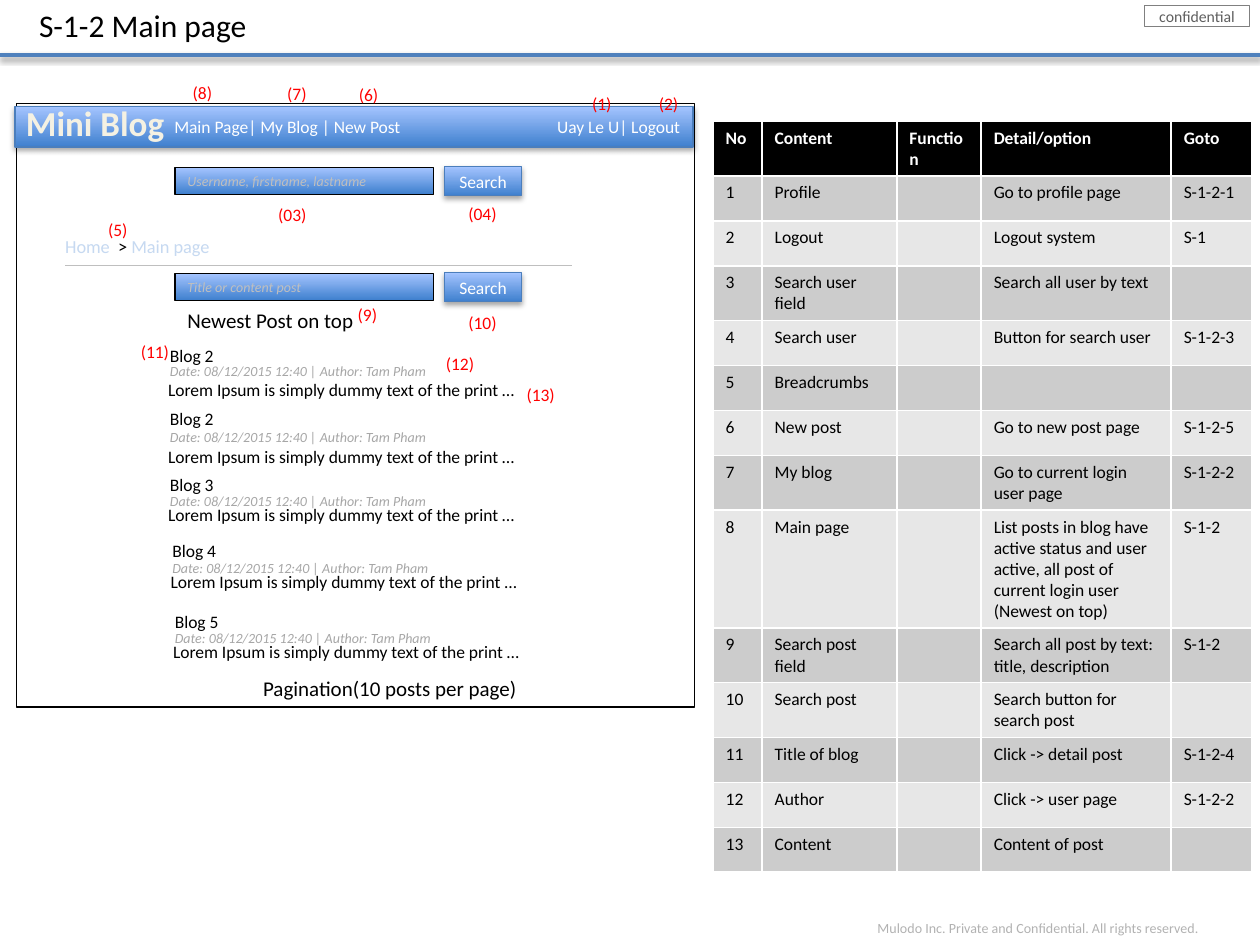
from lxml.etree import SubElement as Sub
from pptx import Presentation
from pptx.dml.color import RGBColor as Rgb
from pptx.enum.shapes import MSO_CONNECTOR as Link, MSO_SHAPE as Form
from pptx.enum.text import MSO_ANCHOR as Anchor, MSO_AUTO_SIZE as Auto, PP_ALIGN as Align
from pptx.oxml.ns import qn
from pptx.util import Pt

BLACK = Rgb(0, 0, 0)
WHITE = Rgb(255, 255, 255)
RED = Rgb(255, 0, 0)
CREAM = Rgb(0xF4, 0xF1, 0xE3)
PALE = Rgb(0xC6, 0xD9, 0xF1)
RULE = Rgb(0x4F, 0x81, 0xBD)
EDGE = Rgb(0x4B, 0x7E, 0xBC)
DEEP = Rgb(0x3F, 0x80, 0xCE)
LIGHT = Rgb(0xA4, 0xC4, 0xFF)
HINT = Rgb(0xBF, 0xBF, 0xBF)
DATE = Rgb(0xA6, 0xA6, 0xA6)
FOOT = Rgb(0xB2, 0xB2, 0xB2)
STAMP = Rgb(0x5F, 0x5F, 0x5F)
FRAME = Rgb(0x80, 0x80, 0x80)
ODD = Rgb(0xCC, 0xCC, 0xCC)
EVEN = Rgb(0xE7, 0xE7, 0xE7)

COLS = [28, 77, 48.2, 108.6, 46]
ROWS = [
    ("No", "Content", "Function", "Detail/option", "Goto"),
    ("1", "Profile", "", "Go to profile page", "S-1-2-1"),
    ("2", "Logout", "", "Logout system", "S-1"),
    ("3", "Search user field", "", "Search all user by text", ""),
    ("4", "Search user", "", "Button for search user", "S-1-2-3"),
    ("5", "Breadcrumbs", "", "", ""),
    ("6", "New post", "", "Go to new post page", "S-1-2-5"),
    ("7", "My blog", "", "Go to current login user page", "S-1-2-2"),
    ("8", "Main page", "", "List posts in blog have active status and user active, "
     "all post of current login user (Newest on top)", "S-1-2"),
    ("9", "Search post field", "", "Search all post by text:\ntitle, description", "S-1-2"),
    ("10", "Search post", "", "Search button for search post", ""),
    ("11", "Title of blog", "", "Click -> detail post", "S-1-2-4"),
    ("12", "Author", "", "Click -> user page", "S-1-2-2"),
    ("13", "Content", "", "Content of post", ""),
]
POSTS = [
    ("Blog 2", 90, 193.7, 203.8, 213.1),
    ("Blog 2", 90, 229.7, 241.2, 251.3),
    ("Blog 3", 90, 267.1, 277.9, 284.4),
    ("Blog 4", 91.4, 305.3, 316.1, 322.6),
    ("Blog 5", 92.8, 345.6, 356.4, 362.9),
]
MARKS = [
    ("(1)", 331.2, 49.7), ("(2)", 369.4, 49.7), ("(03)", 151.9, 113),
    ("(04)", 260.6, 112.3), ("(5)", 54.7, 121.7), ("(6)", 198, 44.6),
    ("(7)", 157, 43.9), ("(8)", 103, 43.2), ("(9)", 197.3, 169.9),
    ("(10)", 260.6, 175), ("(11)", 73.4, 191.5), ("(12)", 247.7, 198),
    ("(13)", 293.8, 216),
]


class Page:
    face = "Calibri"

    def __init__(self, slide):
        self.slide = slide
        self.shapes = slide.shapes

    def style(self, para, size, color, align=Align.LEFT, bold=False, slant=False):
        para.alignment = align
        font = para.font
        font.name, font.size = self.face, Pt(size)
        font.bold, font.italic = bold, slant
        font.color.rgb = color

    def place(self, shape, x, y, w, h):
        shape.left, shape.top, shape.width, shape.height = Pt(x), Pt(y), Pt(w), Pt(h)

    def title(self, text, x, y, w, h, size):
        shape = self.shapes.title
        self.place(shape, x, y, w, h)
        frame = shape.text_frame
        frame.text = text
        frame.word_wrap, frame.auto_size = False, Auto.NONE
        frame.vertical_anchor = Anchor.TOP
        self.style(frame.paragraphs[0], size, BLACK)

    def text(self, text, x, y, w, h, size, color=BLACK, wrap=False, **look):
        frame = self.shapes.add_textbox(Pt(x), Pt(y), Pt(w), Pt(h)).text_frame
        frame.word_wrap = wrap
        frame.text = text
        self.style(frame.paragraphs[0], size, color, **look)
        return frame.paragraphs[0]

    def shade(self, shape, alpha):
        props = shape._element.spPr
        for old in props.findall(qn("a:effectLst")):
            props.remove(old)
        glow = Sub(Sub(props, qn("a:effectLst")), qn("a:outerShdw"), blurRad=str(Pt(3.1)),
                   dist=str(Pt(1.7)), dir="5400000", rotWithShape="0")
        tint = Sub(glow, qn("a:srgbClr"), val="000000")
        Sub(tint, qn("a:alpha"), val=str(alpha * 1000))

    def box(self, x, y, w, h, edge, blend=False):
        shape = self.shapes.add_shape(Form.RECTANGLE, Pt(x), Pt(y), Pt(w), Pt(h))
        shape.shadow.inherit = False
        if blend:
            shape.fill.gradient()
            shape.fill.gradient_angle = 90
            for stop, color, spot in zip(shape.fill.gradient_stops, (DEEP, LIGHT), (0, 1)):
                stop.color.rgb, stop.position = color, spot
        else:
            shape.fill.solid()
            shape.fill.fore_color.rgb = WHITE
        shape.line.color.rgb, shape.line.width = edge, Pt(0.75)
        return shape

    def label(self, shape, text, size, color, **look):
        frame = shape.text_frame
        frame.text = text
        frame.vertical_anchor = Anchor.MIDDLE
        self.style(frame.paragraphs[0], size, color, **look)

    def line(self, x, y, end, color, width):
        line = self.shapes.add_connector(Link.STRAIGHT, Pt(x), Pt(y), Pt(end), Pt(y))
        line.line.color.rgb, line.line.width = color, Pt(width)
        Sub(line._element.spPr, qn("a:effectLst"))
        return line

    def bar(self, left, right, x, y, w, h):
        shape = self.box(x, y, w, h, EDGE, True)
        self.shade(shape, 35)
        frame = shape.text_frame
        frame.margin_left, frame.margin_right = Pt(91), Pt(4)
        frame.text = left + "\t" + right
        tabs = Sub(frame.paragraphs[0]._p.get_or_add_pPr(), qn("a:tabLst"))
        Sub(tabs, qn("a:tab"), pos=str(Pt(289)), algn="r")
        frame.vertical_anchor = Anchor.MIDDLE
        self.style(frame.paragraphs[0], 10, WHITE)

    def search(self, hint, y):
        field = self.box(100, y, 147.6, 15.2, BLACK, True)
        self.label(field, hint, 8, HINT, slant=True)
        button = self.box(254, y - 0.6, 44, 16.6, EDGE, True)
        self.shade(button, 35)
        self.label(button, "Search", 10, WHITE, align=Align.CENTER)

    def post(self, name, x, top, date, body):
        self.text(name, x, top, 39.6, 19.4, 10)
        self.text("Date: 08/12/2015 12:40 | Author: Tam Pham", x, date, 231.5, 17.3, 8,
                  DATE, wrap=True, slant=True)
        self.text("Lorem Ipsum is simply dummy text of the print …", x - 1, body, 232.5, 19.4,
                  10, wrap=True, align=Align.JUSTIFY)

    def table(self, rows, cols, x, y, high):
        grid = self.shapes.add_table(len(rows), len(cols), Pt(x), Pt(y),
                                     Pt(sum(cols)), Pt(high * len(rows))).table
        for col, wide in zip(grid.columns, cols):
            col.width = Pt(wide)
        for i, row in enumerate(rows):
            grid.rows[i].height = Pt(high)
            head = i == 0
            for j, text in enumerate(row):
                cell = grid.cell(i, j)
                cell.fill.solid()
                cell.fill.fore_color.rgb = BLACK if head else ODD if i % 2 else EVEN
                cell.text = text
                for para in cell.text_frame.paragraphs:
                    self.style(para, 10, WHITE if head else BLACK, bold=head)


def main():
    deck = Presentation()
    deck.slide_width, deck.slide_height = Pt(720), Pt(540)
    page = Page(deck.slides.add_slide(deck.slide_layouts[5]))

    stamp = page.box(653.8, 3, 60.4, 12.2, FRAME)
    stamp.text_frame.word_wrap = False
    page.label(stamp, "confidential", 9, STAMP, align=Align.CENTER)
    page.text("Mulodo Inc. Private and Confidential. All rights reserved.",
              494, 522, 198.7, 17.3, 8, FOOT, align=Align.CENTER)
    page.shade(page.line(0, 31.5, 720, RULE, 2), 38)
    page.title("S-1-2 Main page", 15.1, 0, 134.6, 28.8, 18)

    page.box(9.4, 59, 387.4, 345, BLACK)
    page.bar("Main Page| My Blog | New Post", "Uay Le U| Logout", 8.6, 61, 387.4, 23)
    page.text("Mini Blog", 7.2, 54.7, 94.3, 31.7, 20, CREAM, align=Align.CENTER, bold=True)
    page.search("Username, firstname, lastname", 95.8)
    page.search("Title or content post", 156.4)

    page.line(37.4, 151.4, 326.9, HINT, 0.25)
    trail = page.text("", 30.2, 131, 98.6, 20.2, 10.5)
    for text, color in (("Home ", PALE), (" > ", BLACK), ("Main page", PALE)):
        run = trail.add_run()
        run.text = text
        run.font.color.rgb = color

    page.text("Newest Post on top", 100, 172, 110.9, 21.6, 12)
    for post in POSTS:
        page.post(*post)
    page.text("Pagination(10 posts per page)", 143.3, 382.3, 161.3, 21.6, 12)
    for text, x, y in MARKS:
        page.text(text, x, y, 31 if len(text) > 3 else 26, 19.4, 10, RED)
    page.table(ROWS, COLS, 407.5, 69.3, 25.7)
    deck.save("out.pptx")


if __name__ == "__main__":
    main()
